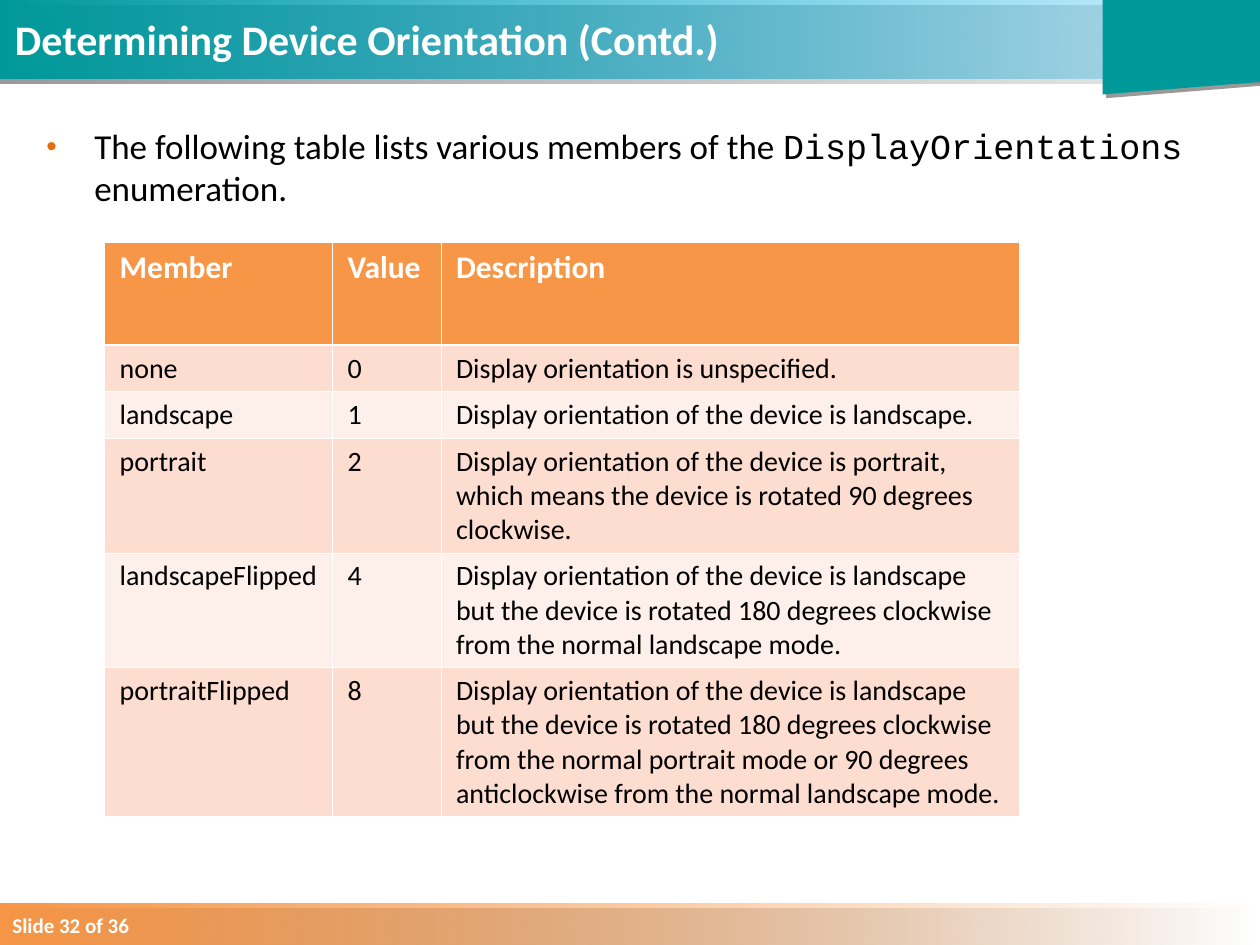
from lxml.etree import SubElement
from pptx import Presentation
from pptx.dml.color import RGBColor
from pptx.enum.shapes import MSO_SHAPE
from pptx.enum.text import MSO_ANCHOR
from pptx.oxml.ns import qn
from pptx.util import Inches, Pt

COLORS = {
    "teal": "009999", "sky": "00B0F0", "orange": "F79646", "bullet": "E46C0A",
    "white": "FFFFFF", "black": "000000", "band_dark": "FCDDCF", "band_light": "FDEFE9",
}
HEADINGS = ("Member", "Value", "Description")
MEMBERS = (
    ("none", "0", "Display orientation is unspecified."),
    ("landscape", "1", "Display orientation of the device is landscape."),
    ("portrait", "2", "Display orientation of the device is portrait, which means "
     "the device is rotated 90 degrees clockwise."),
    ("landscapeFlipped", "4", "Display orientation of the device is landscape but the device "
     "is rotated 180 degrees clockwise from the normal landscape mode."),
    ("portraitFlipped", "8", "Display orientation of the device is landscape but the device "
     "is rotated 180 degrees clockwise from the normal portrait mode or 90 degrees "
     "anticlockwise from the normal landscape mode."),
)
COLUMN_WIDTHS = (1.81, 0.86, 4.59)
ROW_HEIGHTS = (0.82, 0.37, 0.37, 0.91, 0.91, 1.18)


class SlideBuilder:
    """Holds the style and the current slide, and draws each kind of element."""

    def __init__(self, page):
        self.page = page
        self.font = "Calibri"

    def color(self, name):
        return RGBColor.from_string(COLORS[name])

    def add_color(self, parent, name, alpha=None):
        color = SubElement(parent, qn("a:srgbClr"), val=COLORS[name])
        if alpha is not None:
            SubElement(color, qn("a:alpha"), val=str(alpha * 1000))

    def apply(self, target, values):
        for name, value in values.items():
            setattr(target, name, value)

    def shadow(self, shape, angle):
        shape.shadow.inherit = False
        effects = shape._element.spPr.find(qn("a:effectLst"))
        outer = SubElement(effects, qn("a:outerShdw"), blurRad="0", dist=str(Pt(3)),
                           dir=str(angle * 60000), algn="ctr", rotWithShape="0")
        self.add_color(outer, "black", 40)

    def band(self, top, height, start, end, end_alpha):
        bar = self.page.shapes.add_shape(MSO_SHAPE.RECTANGLE, 0, Inches(top),
                                         Inches(10), Inches(height))
        bar.line.fill.background()
        bar.fill.gradient()
        bar.fill.gradient_angle = 0
        for stop, name, position in zip(bar.fill.gradient_stops, (start, end), (0, 1)):
            stop.color.rgb = self.color(name)
            stop.position = position
        last = bar._element.spPr.findall(".//" + qn("a:srgbClr"))[-1]
        SubElement(last, qn("a:alpha"), val=str(end_alpha * 1000))
        self.shadow(bar, 90)

    def corner(self, points):
        outline = [(Inches(x), Inches(y)) for x, y in points]
        builder = self.page.shapes.build_freeform(*outline[0])
        builder.add_line_segments(outline[1:], close=True)
        flag = builder.convert_to_shape()
        flag.fill.solid()
        flag.fill.fore_color.rgb = self.color("teal")
        flag.line.fill.background()
        self.shadow(flag, 45)

    def add_span(self, para, text, size, color, bold=False, font=None):
        span = para.add_run()
        span.text = text
        self.apply(span.font, {"name": font or self.font, "size": Pt(size), "bold": bold})
        span.font.color.rgb = self.color(color)

    def text(self, left, top, width, height, anchor=MSO_ANCHOR.TOP):
        box = self.page.shapes.add_textbox(*map(Inches, (left, top, width, height)))
        self.apply(box.text_frame, {"word_wrap": True, "vertical_anchor": anchor})
        return box.text_frame.paragraphs[0]

    def bullet(self, para, indent):
        properties = para._p.get_or_add_pPr()
        properties.set("marL", str(Inches(indent)))
        properties.set("indent", str(-Inches(indent)))
        self.add_color(SubElement(properties, qn("a:buClr")), "bullet")
        SubElement(properties, qn("a:buSzPct"), val="85000")
        SubElement(properties, qn("a:buFont"), typeface="Arial")
        SubElement(properties, qn("a:buChar"), char="•")

    def borders(self, cell, row):
        widths = {"L": 0.45, "R": 0.45, "T": 1.47 if row == 1 else 0.45,
                  "B": 1.47 if row == 0 else 0.45}
        properties = cell._tc.get_or_add_tcPr()
        for side, width in widths.items():
            line = SubElement(properties, qn("a:ln" + side), w=str(Pt(width)))
            self.add_color(SubElement(line, qn("a:solidFill")), "white")

    def cell(self, cell, row, text):
        self.borders(cell, row)
        self.apply(cell, {"margin_left": Inches(0.08), "margin_right": Inches(0.08),
                          "margin_top": Inches(0.05), "margin_bottom": Inches(0.05)})
        cell.fill.solid()
        fill = "orange" if row == 0 else ("band_light", "band_dark")[row % 2]
        cell.fill.fore_color.rgb = self.color(fill)
        para = cell.text_frame.paragraphs[0]
        para._p.get_or_add_pPr().set("marL", str(Inches(0.04)))
        if row == 0:
            self.add_span(para, text, 18, "white", bold=True)
        else:
            self.add_span(para, text, 16, "black")

    def table(self, left, top, rows):
        frame = self.page.shapes.add_table(len(rows), len(COLUMN_WIDTHS), Inches(left),
                                           Inches(top), Inches(sum(COLUMN_WIDTHS)),
                                           Inches(sum(ROW_HEIGHTS)))
        table = frame.table
        self.apply(table, {"first_row": True, "horz_banding": False})
        for column, width in zip(table.columns, COLUMN_WIDTHS):
            column.width = Inches(width)
        for row, height in zip(table.rows, ROW_HEIGHTS):
            row.height = Inches(height)
        for row, values in enumerate(rows):
            for column, value in enumerate(values):
                self.cell(table.cell(row, column), row, value)


def main():
    deck = Presentation()
    deck.slide_width, deck.slide_height = Inches(10), Inches(7.5)
    slide = SlideBuilder(deck.slides.add_slide(deck.slide_layouts[6]))

    slide.band(0, 0.62, "teal", "sky", 20)
    slide.band(7.17, 0.33, "orange", "orange", 0)
    footer = slide.text(0, 7.19, 1.33, 0.3)
    slide.add_span(footer, "Slide 32 of 36", 12, "white", bold=True)
    slide.corner(((8.75, 0), (10, 0), (10, 0.65), (8.75, 0.75)))

    title = slide.text(0.02, 0.03, 8.75, 0.55, MSO_ANCHOR.MIDDLE)
    slide.add_span(title, "Determining Device Orientation (Contd.)", 24, "white", bold=True)

    intro = slide.text(0.27, 0.94, 9.73, 6.25)
    slide.bullet(intro, 0.38)
    slide.add_span(intro, "The following table lists various members of the ", 20, "black")
    slide.add_span(intro, "DisplayOrientations ", 20, "black", font="Courier New")
    slide.add_span(intro, "enumeration.", 20, "black")

    slide.table(0.83, 1.92, (HEADINGS, *MEMBERS))
    deck.save("out.pptx")


if __name__ == "__main__":
    main()
